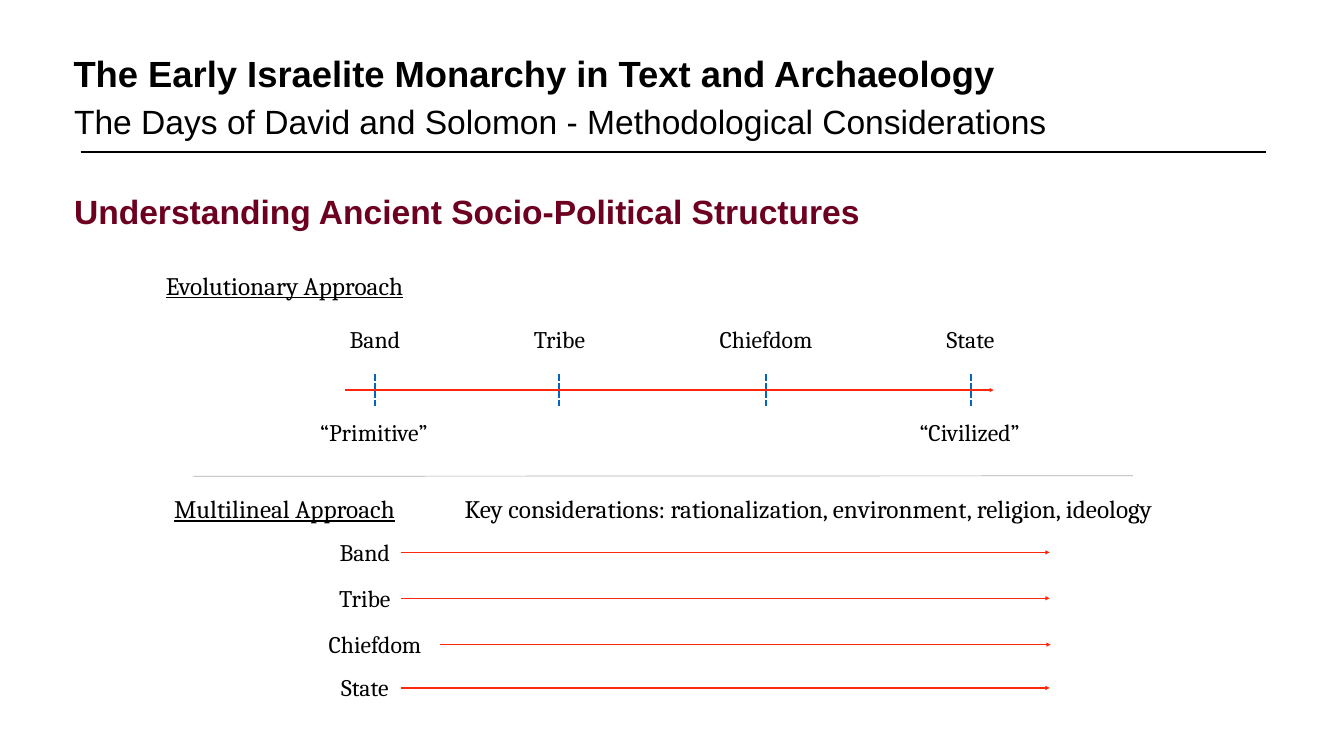
from dataclasses import dataclass

from lxml import etree
from pptx import Presentation
from pptx.dml.color import RGBColor
from pptx.enum.dml import MSO_LINE
from pptx.enum.shapes import MSO_CONNECTOR
from pptx.enum.text import MSO_ANCHOR, PP_ALIGN
from pptx.oxml.ns import qn
from pptx.slide import Slide
from pptx.util import Inches, Pt

STRAIGHT = MSO_CONNECTOR.STRAIGHT
DASHED = MSO_LINE.SQUARE_DOT
TOP, MIDDLE, BOTTOM = MSO_ANCHOR.TOP, MSO_ANCHOR.MIDDLE, MSO_ANCHOR.BOTTOM
LEFT, CENTER = PP_ALIGN.LEFT, PP_ALIGN.CENTER
BLACK, MAROON, RED, BLUE, GRAY = "000000", "6D0020", "FF270B", "0365C0", "AFAFAF"


@dataclass(frozen=True)
class TextStyle:
    size: float
    font: str = "Cambria"
    color: str = BLACK
    bold: bool = False
    underline: bool = False
    align: PP_ALIGN = CENTER
    anchor: MSO_ANCHOR = MIDDLE
    inset: float = 0.08
    wrap: bool = False


@dataclass(frozen=True)
class Stage:
    name: str
    width: float
    axis_x: float
    row_x: float
    row_y: float
    arrow_start: float
    arrow_end: float = 20.83


TITLE = TextStyle(52, "Arial", bold=True, align=LEFT, anchor=BOTTOM, inset=0.13, wrap=True)
SUBTITLE = TextStyle(48, "Arial", align=LEFT, anchor=TOP, inset=0.13, wrap=True)
HEADING = TextStyle(48, "Arial", MAROON, True, align=LEFT, anchor=TOP, inset=0.13, wrap=True)
APPROACH = TextStyle(36, underline=True, wrap=True)
CONSIDERATIONS = TextStyle(36)
LABEL = TextStyle(34)

LABEL_HEIGHT = 0.72
AXIS_Y = 7.74
STAGES = [
    Stage("Band", 1.27, 7.44, 7.24, 10.95, 7.96),
    Stage("Tribe", 1.29, 11.1, 7.24, 11.86, 7.96),
    Stage("Chiefdom", 2.21, 15.2, 7.44, 12.78, 8.74, 20.85),
    Stage("State", 1.23, 19.26, 7.24, 13.64, 7.96),
]


def rgb(color: str) -> RGBColor:
    return RGBColor.from_string(color)


def add_text(slide: Slide, text: str, left: float, top: float, width: float,
             height: float, style: TextStyle) -> None:
    shape = slide.shapes.add_textbox(Inches(left), Inches(top), Inches(width), Inches(height))
    frame = shape.text_frame
    frame.word_wrap = style.wrap
    frame.vertical_anchor = style.anchor
    frame.margin_left = frame.margin_right = Inches(style.inset)
    frame.margin_top = frame.margin_bottom = Inches(style.inset)
    paragraph = frame.paragraphs[0]
    paragraph.alignment = style.align
    run = paragraph.add_run()
    run.text = text
    run.font.name = style.font
    run.font.size = Pt(style.size)
    run.font.bold = style.bold
    run.font.underline = style.underline
    run.font.color.rgb = rgb(style.color)


def add_label(slide: Slide, text: str, center_x: float, center_y: float, width: float) -> None:
    add_text(slide, text, center_x - width / 2, center_y - LABEL_HEIGHT / 2,
             width, LABEL_HEIGHT, LABEL)


def add_line(slide: Slide, start: tuple[float, float], end: tuple[float, float], color: str,
             weight: float, dashed: bool = False, arrow: bool = False) -> None:
    connector = slide.shapes.add_connector(
        STRAIGHT, Inches(start[0]), Inches(start[1]), Inches(end[0]), Inches(end[1]))
    connector.line.color.rgb = rgb(color)
    connector.line.width = Pt(weight)
    if dashed:
        connector.line.dash_style = DASHED
    if arrow:
        etree.SubElement(connector.line._get_or_add_ln(), qn("a:tailEnd"), type="triangle")
    etree.SubElement(connector._element.spPr, qn("a:effectLst"))


def add_header(slide: Slide) -> None:
    add_line(slide, (1.6, 3.02), (25.13, 3.02), BLACK, 2)
    add_text(slide, "The Early Israelite Monarchy in Text and Archaeology",
             1.33, 0, 19.9, 2.01, TITLE)
    add_text(slide, "The Days of David and Solomon - Methodological Considerations",
             1.34, 1.88, 19.91, 1.08, SUBTITLE)
    add_text(slide, "Understanding Ancient Socio-Political Structures",
             1.34, 3.66, 18.61, 1.08, HEADING)


def add_evolutionary_approach(slide: Slide) -> None:
    add_text(slide, "Evolutionary Approach", 2.89, 5.29, 5.51, 0.73, APPROACH)
    add_line(slide, (6.85, AXIS_Y), (19.72, AXIS_Y), RED, 2, arrow=True)
    for stage in STAGES:
        add_label(slide, stage.name, stage.axis_x, 6.72, stage.width)
        add_line(slide, (stage.axis_x, 7.43), (stage.axis_x, 8.09), BLUE, 3, dashed=True)
    add_label(slide, "“Primitive”", STAGES[0].axis_x - 0.02, 8.57, 2.5)
    add_label(slide, "“Civilized”", STAGES[-1].axis_x - 0.02, 8.57, 2.35)


def add_multilineal_approach(slide: Slide) -> None:
    add_text(slide, "Multilineal Approach", 2.89, 9.72, 5.51, 0.73, APPROACH)
    add_text(slide, "Key considerations: rationalization, environment, religion, ideology",
             8.51, 9.72, 15.06, 0.73, CONSIDERATIONS)
    for stage in STAGES:
        arrow_y = stage.row_y + 0.01
        add_label(slide, stage.name, stage.row_x, stage.row_y, stage.width)
        add_line(slide, (stage.arrow_start, arrow_y), (stage.arrow_end, arrow_y),
                 RED, 2, arrow=True)


def main() -> None:
    presentation = Presentation()
    presentation.slide_width = Inches(26.67)
    presentation.slide_height = Inches(15)
    slide = presentation.slides.add_slide(presentation.slide_layouts[6])
    add_header(slide)
    add_evolutionary_approach(slide)
    add_line(slide, (3.84, 9.45), (22.48, 9.44), GRAY, 1)
    add_multilineal_approach(slide)
    presentation.save("out.pptx")


if __name__ == "__main__":
    main()
